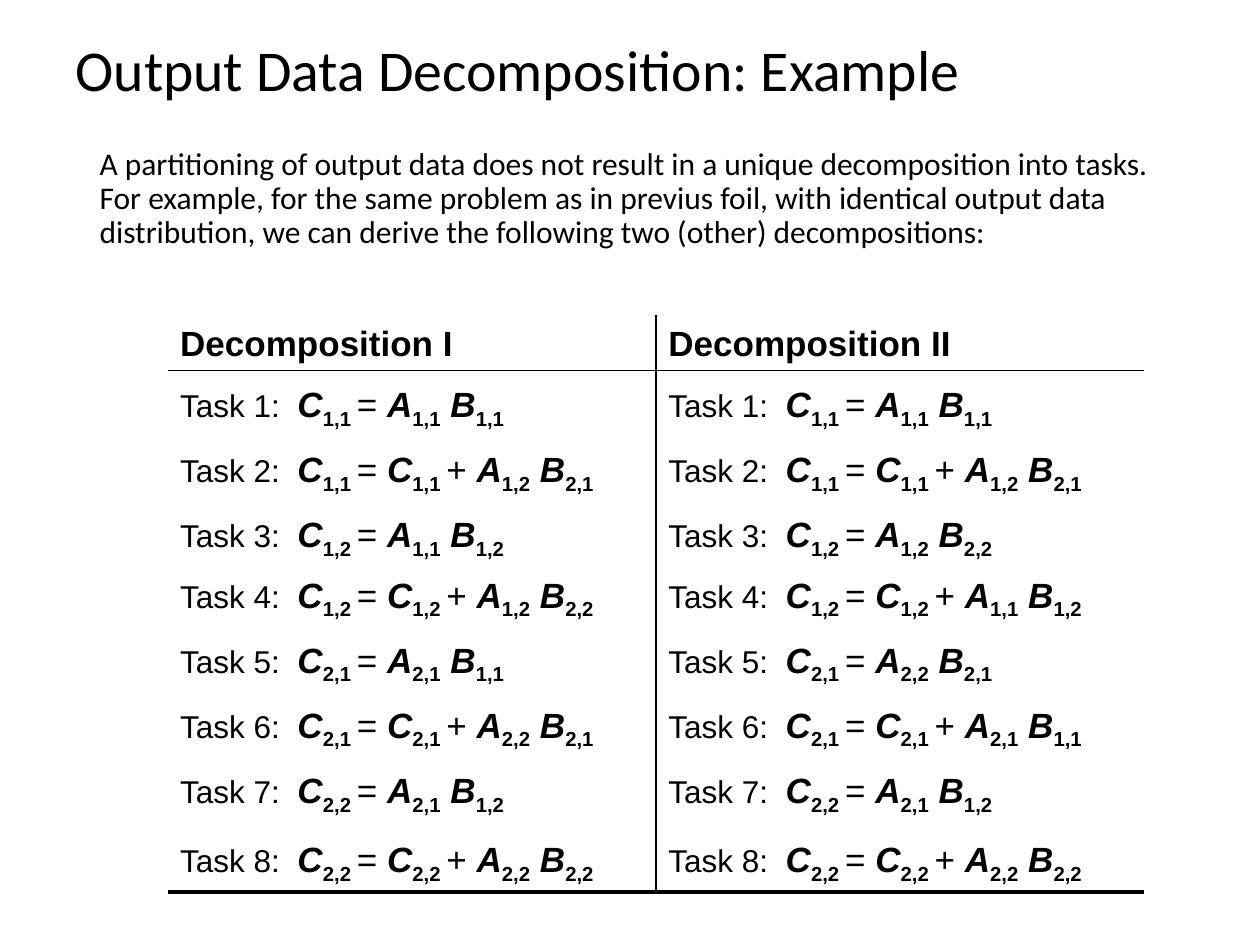
from dataclasses import dataclass

from lxml.etree import SubElement
from pptx import Presentation
from pptx.dml.color import RGBColor
from pptx.enum.text import MSO_ANCHOR, PP_ALIGN
from pptx.oxml.ns import qn
from pptx.util import Inches, Pt


@dataclass(frozen=True)
class Theme:
    """Colours, fonts and sizes of the slide."""
    ink: str = "000000"
    text_font: str = "Calibri"
    table_font: str = "Arial"
    title_size: float = 33
    body_size: float = 18
    label_size: float = 18
    formula_size: float = 20
    thin: float = 1
    thick: float = 2.25
    plain_table: str = "{2D5ABB26-0587-4C30-8999-92F81FD0307C}"


THEME = Theme()
TITLE = "Output Data Decomposition: Example"
BODY = (
    "A partitioning of output data does not result in a unique decomposition "
    "into tasks. For example, for the same problem as in previus foil, with "
    "identical output data distribution, we can derive the following two "
    "(other) decompositions:"
)
OUTPUTS = ("1,1", "1,2", "2,1", "2,2")
DECOMPOSITIONS = {
    "Decomposition I": (
        ("1,1", "1,1"), ("1,2", "2,1"), ("1,1", "1,2"), ("1,2", "2,2"),
        ("2,1", "1,1"), ("2,2", "2,1"), ("2,1", "1,2"), ("2,2", "2,2"),
    ),
    "Decomposition II": (
        ("1,1", "1,1"), ("1,2", "2,1"), ("1,2", "2,2"), ("1,1", "1,2"),
        ("2,2", "2,1"), ("2,1", "1,1"), ("2,1", "1,2"), ("2,2", "2,2"),
    ),
}
TASK_SPACING = (1.2, 1.3, 1.3, 1.2, 1.3, 1.3, 1.3, 1.4)


def place(shape, box):
    """Move a shape to a left, top, width, height box."""
    shape.left, shape.top, shape.width, shape.height = map(Inches, box)


def style_font(font, name, size, bold=False):
    """Set the face, size, weight and ink of a font."""
    font.name, font.size, font.bold = name, Pt(size), bold
    font.color.rgb = RGBColor.from_string(THEME.ink)


def add_title(page, box):
    """Fill the title placeholder."""
    title = page.shapes.title
    place(title, box)
    title.text_frame.text = TITLE
    title.text_frame.vertical_anchor = MSO_ANCHOR.MIDDLE
    para = title.text_frame.paragraphs[0]
    para.alignment, para.line_spacing = PP_ALIGN.LEFT, 0.9
    style_font(para.font, THEME.text_font, THEME.title_size)


def add_body(page, box):
    """Fill the body placeholder with an indented, unbulleted paragraph."""
    body = page.placeholders[1]
    place(body, box)
    body.text_frame.text = BODY
    para = body.text_frame.paragraphs[0]
    para.line_spacing, para.space_before = 0.9, Pt(7.5)
    props = para._p.get_or_add_pPr()
    props.set("marL", str(Inches(0.19)))
    props.set("indent", "0")
    SubElement(props, qn("a:buNone"))
    style_font(para.font, THEME.text_font, THEME.body_size)


def space_table_text(para, spacing):
    """Set line spacing and a gap before of a fifth of a line."""
    para.line_spacing = spacing
    gap = SubElement(para._p.get_or_add_pPr(), qn("a:spcBef"))
    SubElement(gap, qn("a:spcPct")).set("val", "20000")


def add_span(para, text, size=THEME.formula_size, bold=False, italic=False, sub=False):
    """Add one run of a task formula."""
    span = para.add_run()
    span.text = text
    style_font(span.font, THEME.table_font, size, bold)
    span.font.italic = italic
    if sub:
        span.font._element.set("baseline", "-25000")


def add_matrix(para, name, index):
    """Add a matrix name followed by its subscript."""
    add_span(para, name, bold=True, italic=True)
    add_span(para, index, bold=True, sub=True)


def write_task(para, number, factors):
    """Write one task, adding to the earlier product in every second task."""
    output = OUTPUTS[(number - 1) // 2] + " "
    add_span(para, f"Task {number}:  ", THEME.label_size)
    add_matrix(para, "C", output)
    add_span(para, "= ")
    if number % 2 == 0:
        add_matrix(para, "C", output)
        add_span(para, "+ ")
    for name, index in zip(("A", " B"), factors):
        add_matrix(para, name, index)


def finish_cell(cell, borders):
    """Draw the given cell borders and clear the fill."""
    props = cell._tc.get_or_add_tcPr()
    for side in ("L", "R", "T", "B"):
        if side in borders:
            line = SubElement(props, qn(f"a:ln{side}"), w=str(Pt(borders[side])))
            fill = SubElement(line, qn("a:solidFill"))
            SubElement(fill, qn("a:srgbClr"), val=THEME.ink)
    cell.fill.background()


def add_decompositions(page, box):
    """Add the table with one column for each decomposition."""
    header_height = 0.41
    frame = page.shapes.add_table(2, len(DECOMPOSITIONS), *map(Inches, box))
    table = frame.table
    table.first_row = table.horz_banding = False
    table._tbl.tblPr.find(qn("a:tableStyleId")).text = THEME.plain_table
    table.rows[0].height = Inches(header_height)
    table.rows[1].height = Inches(box[3] - header_height)
    for column, (heading, tasks) in enumerate(DECOMPOSITIONS.items()):
        header, cell = table.cell(0, column), table.cell(1, column)
        header.text = heading
        para = header.text_frame.paragraphs[0]
        space_table_text(para, 1.1)
        style_font(para.font, THEME.table_font, THEME.formula_size, True)
        for number, (factors, spacing) in enumerate(zip(tasks, TASK_SPACING), 1):
            frame_text = cell.text_frame
            para = frame_text.paragraphs[0] if number == 1 else frame_text.add_paragraph()
            space_table_text(para, spacing)
            write_task(para, number, factors)
        divider = {"L" if column else "R": THEME.thin}
        finish_cell(header, {**divider, "B": THEME.thin})
        finish_cell(cell, {**divider, "T": THEME.thin, "B": THEME.thick})


def main():
    """Build and save the deck."""
    deck = Presentation()
    deck.slide_width, deck.slide_height = Inches(10), Inches(7.5)
    page = deck.slides.add_slide(deck.slide_layouts[1])
    add_title(page, (0.5, 0.08, 9, 1))
    add_body(page, (0.5, 1.13, 9, 1.45))
    add_decompositions(page, (1.33, 2.5, 7.75, 4.47))
    deck.save("out.pptx")


if __name__ == "__main__":
    main()
